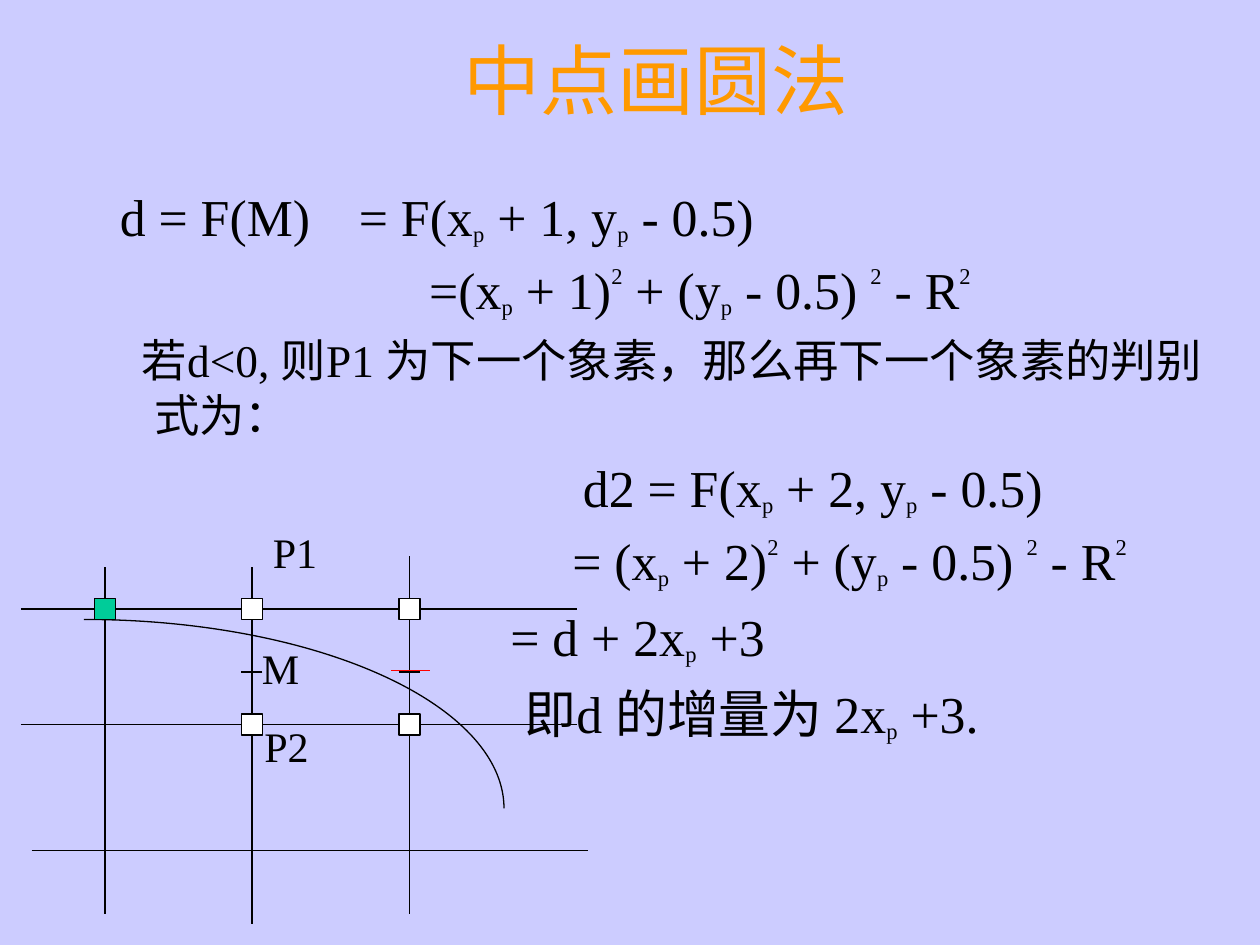
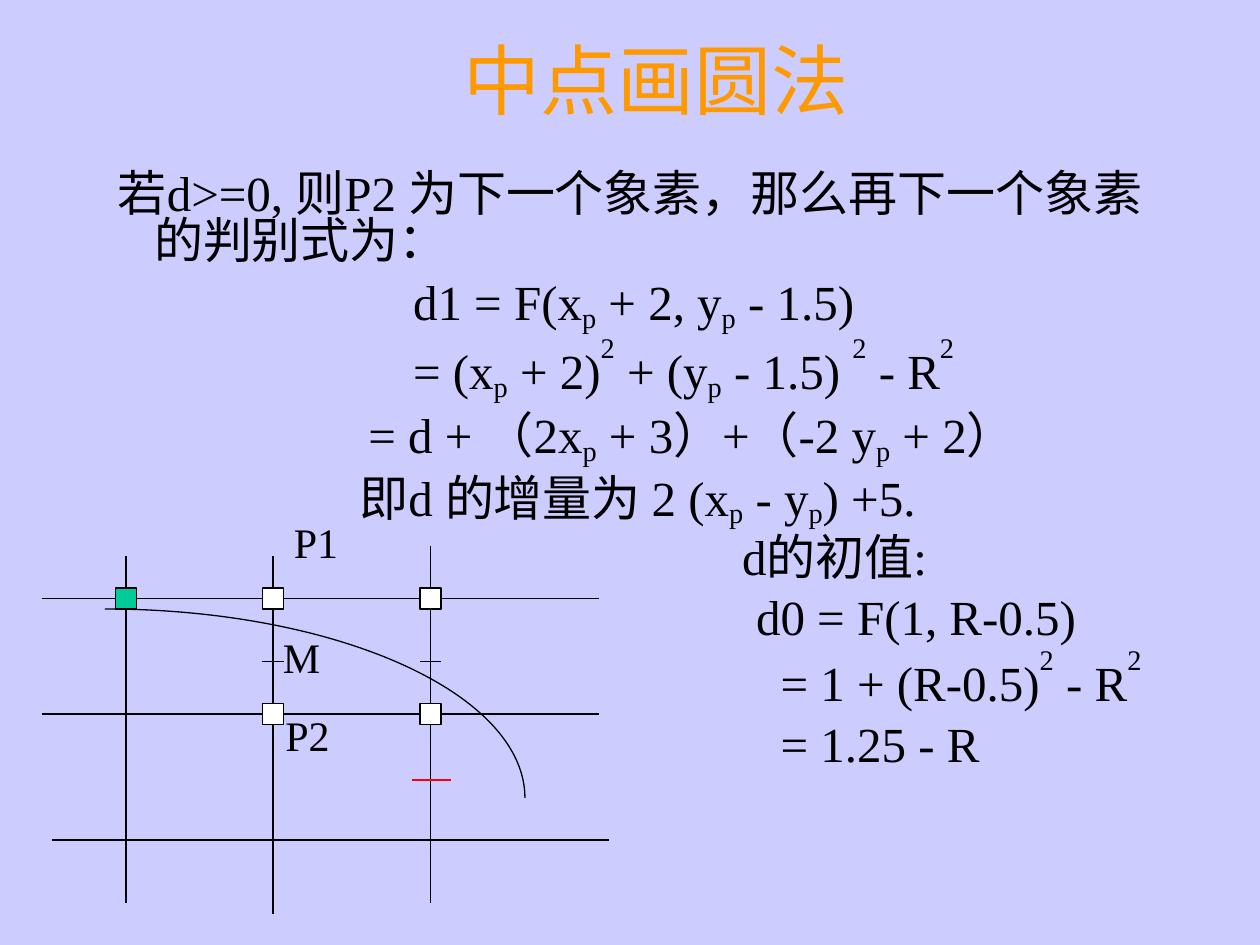
"""Build two slides on the midpoint circle algorithm."""
from dataclasses import dataclass

import pptx
import pptx.dml.color
import pptx.enum.shapes
import pptx.enum.text
import pptx.oxml.ns
import pptx.util
from lxml import etree

Pt = pptx.util.Pt
FONT = "Times New Roman"
BACKGROUND, ORANGE, BLACK = "CCCCFF", "FF9900", "000000"
WHITE, GREEN, RED = "FFFFFF", "00CC99", "FF0000"
TITLE = "中点画圆法"
PIXEL_SIZE = 12
SCRIPT_BASELINES = {"_": "-16000", "^": "64000"}


@dataclass(frozen=True)
class Line:
    start: tuple[float, float]
    end: tuple[float, float]
    color: str = BLACK


@dataclass(frozen=True)
class Pixel:
    center: tuple[float, float]
    color: str = WHITE


@dataclass(frozen=True)
class Label:
    text: str
    left: float
    top: float
    width: float


@dataclass(frozen=True)
class Formula:
    left: float
    runs: tuple[str, ...]
    space_before: float = 7
    size: float | None = None
    hanging: float | None = None
    tab: float | None = None


@dataclass(frozen=True)
class Page:
    body: tuple[float, float, float, float]
    size: float
    script_size: float
    line_spacing: float
    formulas: tuple[Formula, ...]
    grid_offset: tuple[float, float]
    next_midpoint: float


COLUMNS = (60, 144, 234)
ROWS = (348, 414, 486)
MIDPOINT = 384
GRID_LINES = (
    Line((12, ROWS[0]), (330, ROWS[0])),
    Line((12, ROWS[1]), (330, ROWS[1])),
    Line((18, ROWS[2]), (336, ROWS[2])),
    Line((COLUMNS[0], 324), (COLUMNS[0], 522)),
    Line((COLUMNS[1], 324), (COLUMNS[1], 528)),
    Line((COLUMNS[2], 318), (COLUMNS[2], 522)),
)
TICKS = tuple(Line((x + 6, MIDPOINT), (x - 6, MIDPOINT)) for x in COLUMNS[1:])
PIXELS = tuple(Pixel((x, y)) for y in ROWS[:2] for x in COLUMNS[1:]) + (
    Pixel((COLUMNS[0], ROWS[0]), GREEN),
)
LABELS = (
    Label("M", 142.6, 363.4, 35.3),
    Label("P1", 148.8, 297.5, 39.6),
    Label("P2", 144, 408, 39.6),
)

PAGES = (
    Page(
        body=(54, 102, 654, 378),
        size=29.6,
        script_size=22.2,
        line_spacing=1,
        grid_offset=(0, 0),
        next_midpoint=383,
        formulas=(
            Formula(7.4, ("d = F(M)\t= F(x", "_p", " + 1, y", "_p", " - 0.5)"), 8, hanging=0, tab=182.5),
            Formula(184.2, ("=(x", "_p", " + 1)", "^2", " + (y", "_p", " - 0.5) ", "^2", " - R", "^2"), 6),
            Formula(20, ("若d<0, 则P1 为下一个象素，那么再下一个象素的判别式为：",), size=25.9, hanging=27),
            Formula(272, ("d2 = F(x", "_p", " + 2, y", "_p", " - 0.5)"), 8),
            Formula(266, ("= (x", "_p", " + 2)", "^2", " + (y", "_p", " - 0.5) ", "^2", " - R", "^2"), 6),
            Formula(230.5, ("= d + 2x", "_p", " +3"), 8),
            Formula(238.7, ("即d 的增量为 2x", "_p", " +3."), 8),
        ),
    ),
    Page(
        body=(54, 96, 612, 384),
        size=28,
        script_size=28,
        line_spacing=0.8,
        grid_offset=(12, -6),
        next_midpoint=451.7,
        formulas=(
            Formula(6.3, ("若d>=0, 则P2 为下一个象素，那么再下一个象素的判别式为：",), hanging=27),
            Formula(175, ("d1 = F(x", "_p", " + 2, y", "_p", " - 1.5)")),
            Formula(175, ("= (x", "_p", " + 2)", "^2", " + (y", "_p", " - 1.5) ", "^2", " - R", "^2")),
            Formula(149.4, ("= d + （2x", "_p", " + 3）+（-2 y", "_p", " + 2）")),
            Formula(144.3, ("即d 的增量为 2 (x", "_p", " - y", "_p", ") +5.")),
            Formula(363, ("d的初值:",)),
            Formula(371, ("d0 = F(1, R-0.5)",)),
            Formula(385, ("= 1 + (R-0.5)", "^2", " - R", "^2")),
            Formula(385, ("= 1.25 - R",)),
        ),
    ),
)


def rgb(color: str) -> pptx.dml.color.RGBColor:
    return pptx.dml.color.RGBColor.from_string(color)


def add_run(paragraph, text: str, size: float, color: str = BLACK):
    run = paragraph.add_run()
    run.text = text
    run.font.name = FONT
    run.font.size = Pt(size)
    run.font.color.rgb = rgb(color)
    return run


def set_outline(shape, color: str) -> None:
    shape.line.color.rgb = rgb(color)
    shape.line.width = Pt(0.75)


def add_title(slide) -> None:
    title = slide.shapes.title
    title.left, title.top, title.width, title.height = Pt(90), Pt(0), Pt(570), Pt(90)
    title.text_frame.vertical_anchor = pptx.enum.text.MSO_ANCHOR.MIDDLE
    paragraph = title.text_frame.paragraphs[0]
    paragraph.alignment = pptx.enum.text.PP_ALIGN.CENTER
    add_run(paragraph, TITLE, 44, ORANGE)


def format_paragraph(paragraph, formula: Formula, line_spacing: float) -> None:
    margin = formula.left if formula.hanging is None else formula.hanging
    paragraph.space_before = Pt(formula.space_before)
    paragraph.line_spacing = line_spacing
    properties = paragraph._p.get_or_add_pPr()
    properties.set("marL", str(Pt(margin)))
    properties.set("indent", str(Pt(formula.left - margin)))
    if formula.tab is not None:
        tabs = etree.SubElement(properties, pptx.oxml.ns.qn("a:tabLst"))
        etree.SubElement(tabs, pptx.oxml.ns.qn("a:tab"), pos=str(Pt(formula.tab)), algn="l")


def add_body(slide, page: Page) -> None:
    frame = slide.shapes.add_textbox(*map(Pt, page.body)).text_frame
    frame.word_wrap = True
    for index, formula in enumerate(page.formulas):
        paragraph = frame.add_paragraph() if index else frame.paragraphs[0]
        format_paragraph(paragraph, formula, page.line_spacing)
        for text in formula.runs:
            baseline = SCRIPT_BASELINES.get(text[0])
            if baseline:
                run = add_run(paragraph, text[1:], page.script_size)
                run._r.get_or_add_rPr().set("baseline", baseline)
            else:
                add_run(paragraph, text, formula.size or page.size)


def add_line(slide, line: Line, dx: float, dy: float) -> None:
    (x1, y1), (x2, y2) = line.start, line.end
    connector = slide.shapes.add_connector(
        pptx.enum.shapes.MSO_CONNECTOR.STRAIGHT, Pt(x1 + dx), Pt(y1 + dy), Pt(x2 + dx), Pt(y2 + dy)
    )
    set_outline(connector, line.color)
    etree.SubElement(connector._element.spPr, pptx.oxml.ns.qn("a:effectLst"))


def add_circle_arc(slide, dx: float, dy: float) -> None:
    arc = slide.shapes.add_shape(
        pptx.enum.shapes.MSO_SHAPE.ARC, Pt(dx - 192), Pt(dy + 354), Pt(480), Pt(216)
    )
    arc.shadow.inherit = False
    arc.fill.background()
    set_outline(arc, BLACK)


def add_pixel(slide, pixel: Pixel, dx: float, dy: float) -> None:
    x, y = pixel.center
    half = PIXEL_SIZE / 2
    square = slide.shapes.add_shape(
        pptx.enum.shapes.MSO_SHAPE.RECTANGLE,
        Pt(x + dx - half), Pt(y + dy - half), Pt(PIXEL_SIZE), Pt(PIXEL_SIZE),
    )
    square.shadow.inherit = False
    square.fill.solid()
    square.fill.fore_color.rgb = rgb(pixel.color)
    set_outline(square, BLACK)


def add_label(slide, label: Label, dx: float, dy: float) -> None:
    box = slide.shapes.add_textbox(Pt(label.left + dx), Pt(label.top + dy), Pt(label.width), Pt(36))
    box.text_frame.word_wrap = False
    box.text_frame.auto_size = pptx.enum.text.MSO_AUTO_SIZE.SHAPE_TO_FIT_TEXT
    add_run(box.text_frame.paragraphs[0], label.text, 24)


def add_pixel_grid(slide, page: Page) -> None:
    dx, dy = page.grid_offset
    for line in GRID_LINES:
        add_line(slide, line, dx, dy)
    add_circle_arc(slide, dx, dy)
    for tick in TICKS:
        add_line(slide, tick, dx, dy)
    for pixel in PIXELS:
        add_pixel(slide, pixel, dx, dy)
    for label in LABELS:
        add_label(slide, label, dx, dy)
    add_line(slide, Line((223.7, page.next_midpoint), (246, page.next_midpoint), RED), dx, dy)


def main() -> None:
    presentation = pptx.Presentation()
    presentation.slide_width, presentation.slide_height = Pt(720), Pt(540)
    background = presentation.slide_master.background.fill
    background.solid()
    background.fore_color.rgb = rgb(BACKGROUND)
    for page in PAGES:
        slide = presentation.slides.add_slide(presentation.slide_layouts.get_by_name("Title Only"))
        add_title(slide)
        add_body(slide, page)
        add_pixel_grid(slide, page)
    presentation.save("out.pptx")


if __name__ == "__main__":
    main()
